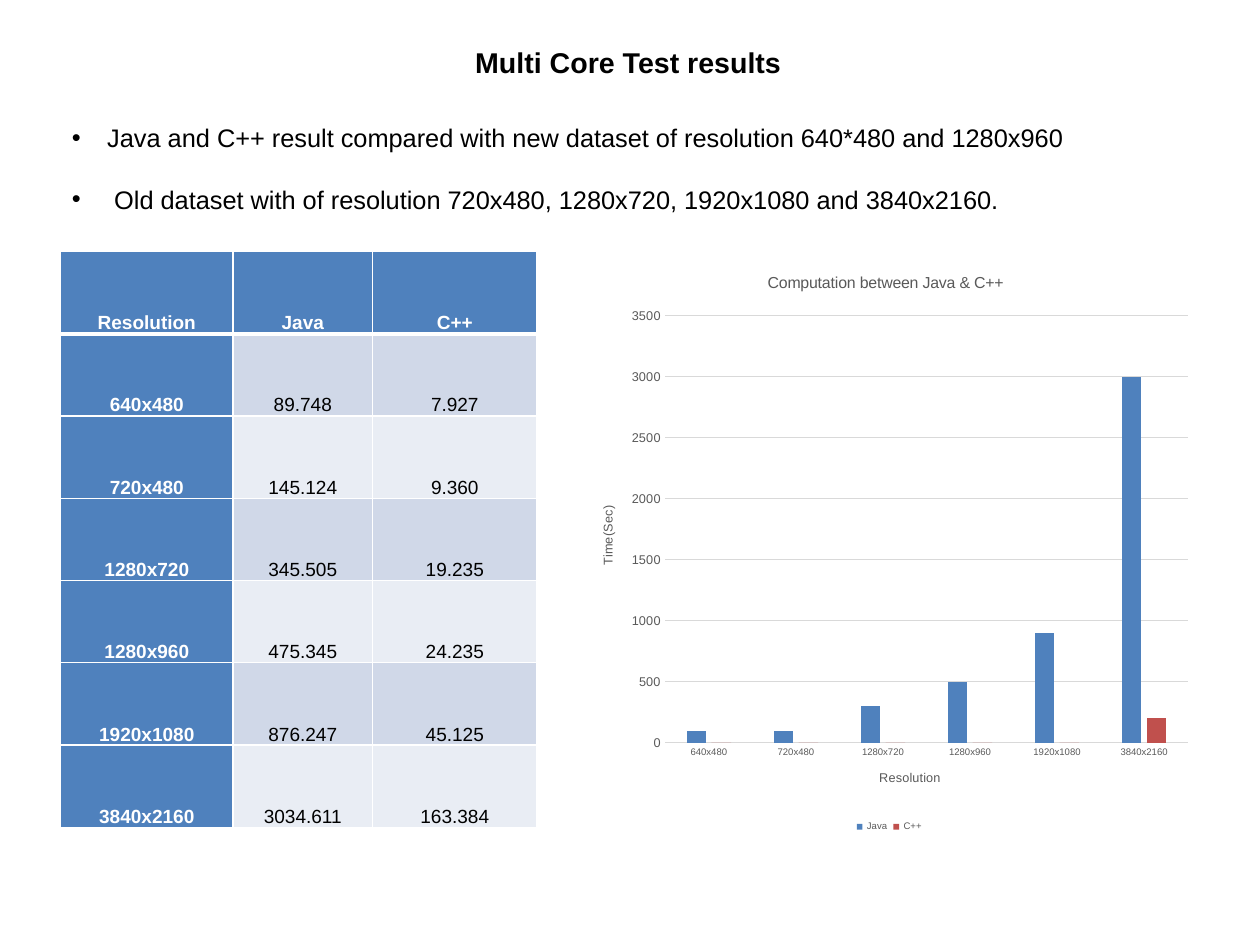
import pptx
import pptx.chart.data
import pptx.dml.color
import pptx.enum.chart
import pptx.enum.text
import pptx.oxml
import pptx.oxml.ns
import pptx.util
from pptx.util import Inches, Pt

FONT = "Arial"
BLACK, WHITE, GREY, RULE = "000000", "FFFFFF", "595959", "D9D9D9"
BLUE, RED = "4F81BD", "C0504D"
BANDS = ("D0D8E8", "E9EDF4")
CM_PER_INCH = 2.54
LANGUAGES = ("Java", "C++")
TIMINGS = [
    ("640x480", 89.748, 7.927),
    ("720x480", 145.124, 9.360),
    ("1280x720", 345.505, 19.235),
    ("1280x960", 475.345, 24.235),
    ("1920x1080", 876.247, 45.125),
    ("3840x2160", 3034.611, 163.384),
]
BULLETS = [
    "Java and C++ result compared with new dataset of resolution 640*480 and 1280x960",
    " Old dataset with of resolution 720x480, 1280x720, 1920x1080 and 3840x2160.",
]
qn = pptx.oxml.ns.qn


def rgb(colour):
    return pptx.dml.color.RGBColor.from_string(colour)


def style(font, size, colour, bold=False):
    font.name, font.size, font.bold = FONT, Pt(size), bold
    font.color.rgb = rgb(colour)


def add_heading(slide, left, top, width, height):
    heading = slide.shapes.add_textbox(left, top, width, height).text_frame
    heading.word_wrap = False
    heading.auto_size = pptx.enum.text.MSO_AUTO_SIZE.SHAPE_TO_FIT_TEXT
    heading.text = "Multi Core Test results"
    style(heading.paragraphs[0].runs[0].font, 18, BLACK, True)


def add_bullets(slide, left, top, width, height):
    notes = slide.shapes.add_textbox(left, top, width, height).text_frame
    notes.word_wrap = False
    notes.text = "\n".join(BULLETS)
    for index, paragraph in enumerate(notes.paragraphs):
        style(paragraph.runs[0].font, 16, BLACK)
        paragraph.space_before = Pt(19.5 * index)
        # Hanging bullet
        properties = paragraph._p.get_or_add_pPr()
        properties.set("marL", str(Inches(0.31)))
        properties.set("indent", str(Inches(-0.31)))
        for tag, value in (("buFont", f'typeface="{FONT}"'), ("buChar", 'char="•"')):
            properties.append(pptx.oxml.parse_xml(
                f'<a:{tag} {pptx.oxml.ns.nsdecls("a")} {value}/>'))


def set_borders(cell, is_header, below_header):
    widths = {"lnL": 1, "lnR": 1, "lnT": 3 if below_header else 1,
              "lnB": 3 if is_header else 1}
    for index, (side, width) in enumerate(widths.items()):
        cell._tc.get_or_add_tcPr().insert(index, pptx.oxml.parse_xml(
            f'<a:{side} {pptx.oxml.ns.nsdecls("a")} w="{Pt(width)}"><a:solidFill>'
            f'<a:srgbClr val="{WHITE}"/></a:solidFill></a:{side}>'))


def add_timings_table(slide, left, top, width, height):
    rows = [("Resolution", *LANGUAGES)]
    rows += [(name, *(f"{value:.3f}" for value in values)) for name, *values in TIMINGS]
    table = slide.shapes.add_table(len(rows), 3, left, top, width, height).table
    for column, share in zip(table.columns, (1.51, 1.22, 1.44)):
        column.width = Inches(share)
    for r, row in enumerate(rows):
        for c, label in enumerate(row):
            cell = table.cell(r, c)
            is_label = r == 0 or c == 0
            cell.text = label
            cell.vertical_anchor = pptx.enum.text.MSO_ANCHOR.BOTTOM
            cell.margin_left = cell.margin_right = Inches(0.07)
            cell.margin_top = cell.margin_bottom = 0
            cell.fill.solid()
            cell.fill.fore_color.rgb = rgb(BLUE if is_label else BANDS[(r - 1) % 2])
            set_borders(cell, r == 0, r == 1)
            paragraph = cell.text_frame.paragraphs[0]
            paragraph.alignment = pptx.enum.text.PP_ALIGN.CENTER
            paragraph.line_spacing = 1.07
            style(paragraph.runs[0].font, 12, WHITE if is_label else BLACK, is_label)


def place(element, index, **fractions):
    """Fix a chart part at fractions of the chart's width and height."""
    for old in element.findall(qn("c:layout")):
        element.remove(old)
    target = '<c:layoutTarget val="inner"/>' if "w" in fractions else ""
    modes = "".join(f'<c:{key}Mode val="edge"/>' for key in "xy")
    values = "".join(f'<c:{key} val="{value}"/>' for key, value in fractions.items())
    element.insert(index, pptx.oxml.parse_xml(
        f'<c:layout {pptx.oxml.ns.nsdecls("c")}><c:manualLayout>{target}{modes}{values}'
        '</c:manualLayout></c:layout>'))


def set_title(title, text, size, x, y, rotation=0):
    title.text_frame.text = text
    style(title.text_frame.paragraphs[0].runs[0].font, size, GREY)
    body = title.element.find(".//" + qn("a:bodyPr"))
    body.set("rot", str(rotation * 60000))
    body.set("vert", "horz")
    place(title.element, 1, x=x, y=y)


def add_timings_chart(slide, left, top, width, height):
    timings = pptx.chart.data.CategoryChartData(number_format="0")
    timings.categories = [row[0] for row in TIMINGS]
    for index, language in enumerate(LANGUAGES, 1):
        # Columns are read to the nearest hundred seconds
        timings.add_series(language, [round(row[index], -2) for row in TIMINGS])
    chart = slide.shapes.add_chart(
        pptx.enum.chart.XL_CHART_TYPE.COLUMN_CLUSTERED,
        left, top, width, height, timings).chart
    style(chart.font, 10, BLACK)
    place(chart.element.find(".//" + qn("c:plotArea")), 0, x=0.14, y=0.11, w=0.84, h=0.73)

    # Columns
    plot = chart.plots[0]
    plot.vary_by_categories = False
    plot.gap_width, plot.overlap = 219, -27
    for series, colour in zip(plot.series, (BLUE, RED)):
        series.format.fill.solid()
        series.format.fill.fore_color.rgb = rgb(colour)

    # Axes
    resolution, seconds = chart.category_axis, chart.value_axis
    for axis, size in ((resolution, 6), (seconds, 8)):
        axis.major_tick_mark = axis.minor_tick_mark = pptx.enum.chart.XL_TICK_MARK.NONE
        style(axis.tick_labels.font, size, GREY)
    seconds.minimum_scale, seconds.maximum_scale, seconds.major_unit = 0, 3500, 500
    seconds.tick_labels.number_format = "0"
    seconds.tick_labels.number_format_is_linked = False
    seconds.format.line.fill.background()
    for line in (resolution.format.line, seconds.major_gridlines.format.line):
        line.color.rgb = rgb(RULE)
        line.width = Pt(0.75)

    # Titles and legend
    set_title(chart.chart_title, "Computation between Java & C++", 10, 0.3, 0.03)
    set_title(resolution.axis_title, "Resolution", 8, 0.48, 0.88)
    set_title(seconds.axis_title, "Time(Sec)", 8, 0.03, 0.43, -90)
    chart.has_legend = True
    chart.legend.position = pptx.enum.chart.XL_LEGEND_POSITION.BOTTOM
    chart.legend.include_in_layout = False
    style(chart.legend.font, 6, GREY)


def main():
    deck = pptx.Presentation()
    # A 28 by 21 cm page
    deck.slide_width = Inches(28 / CM_PER_INCH)
    deck.slide_height = Inches(21 / CM_PER_INCH)
    slide = deck.slides.add_slide(deck.slide_layouts[6])
    add_heading(slide, Inches(4.06), Inches(0.34), Inches(2.9), Inches(0.4))
    add_bullets(slide, Inches(0.53), Inches(1.02), Inches(9.05), Inches(1.18))
    add_timings_table(slide, Inches(0.53), Inches(2.2), Inches(4.18), Inches(5.04))
    add_timings_chart(slide, Inches(5.06), Inches(2.2), Inches(5.44), Inches(5.12))
    deck.save("out.pptx")


if __name__ == "__main__":
    main()
